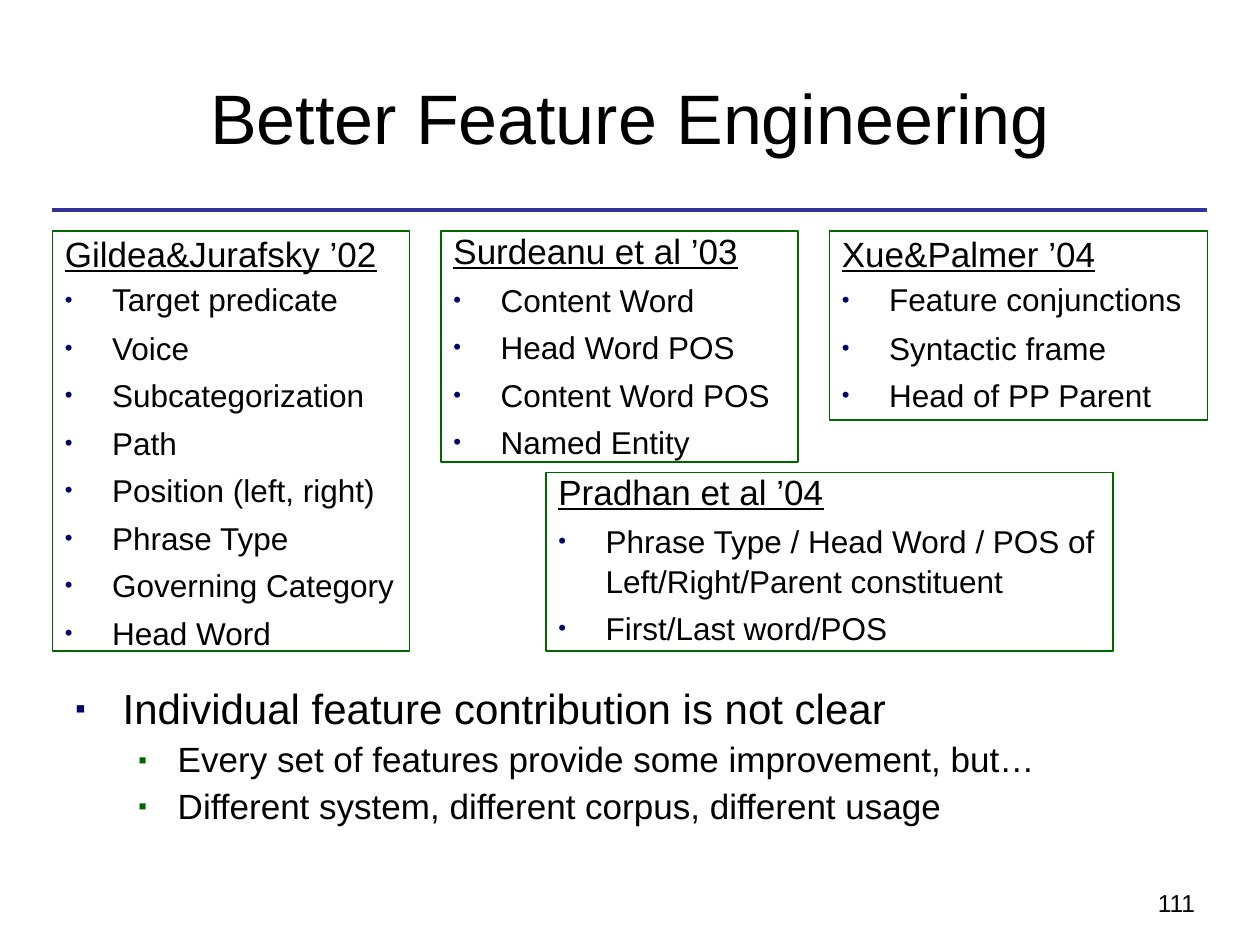
from dataclasses import dataclass

from lxml.etree import SubElement
from pptx import Presentation
from pptx.dml.color import RGBColor
from pptx.enum.shapes import MSO_CONNECTOR, MSO_SHAPE
from pptx.enum.text import MSO_ANCHOR, PP_ALIGN
from pptx.oxml.ns import qn
from pptx.util import Pt

COLORS = {"text": "000000", "rule": "333399", "navy": "000066", "green": "006600"}
FONT = "Arial"
INDENT = 27


@dataclass
class FeatureSet:
    study: str
    features: list[str]
    left: float
    top: float
    width: float
    height: float
    study_spacing: float = 0.8
    first_spacing: float = 1.05


FEATURE_SETS = [
    FeatureSet("Gildea&Jurafsky ’02",
               ["Target predicate", "Voice", "Subcategorization", "Path",
                "Position (left, right)", "Phrase Type", "Governing Category", "Head Word"],
               30, 132, 204, 240, study_spacing=0.9, first_spacing=0.95),
    FeatureSet("Surdeanu et al ’03",
               ["Content Word", "Head Word POS", "Content Word POS", "Named Entity"],
               252, 132, 204, 132),
    FeatureSet("Pradhan et al ’04",
               ["Phrase Type / Head Word / POS of\vLeft/Right/Parent constituent",
                "First/Last word/POS"],
               312, 270, 324, 102),
    FeatureSet("Xue&Palmer ’04",
               ["Feature conjunctions", "Syntactic frame", "Head of PP Parent"],
               474, 132, 216, 108, study_spacing=0.9, first_spacing=0.95),
]


def rgb(name: str) -> RGBColor:
    return RGBColor.from_string(COLORS[name])


def add_text(frame, text: str, *, size: float, underline: bool = False,
             align=PP_ALIGN.LEFT, spacing: float = 1.0, before: float = 0,
             bullet: str = "", bullet_color: str = "navy",
             margin: float = 0, hanging: float = 0, level: int = 0) -> None:
    """Fill the frame's empty first paragraph, or append a new one."""
    first = frame.paragraphs[0]
    paragraph = frame.add_paragraph() if first.runs else first
    paragraph.text = text
    paragraph.level = level
    paragraph.alignment = align
    paragraph.line_spacing = spacing
    paragraph.space_before = Pt(before)
    properties = paragraph._p.get_or_add_pPr()
    properties.set("marL", str(Pt(margin)))
    properties.set("indent", str(-Pt(hanging)))
    if bullet:
        color = SubElement(properties, qn("a:buClr"))
        SubElement(color, qn("a:srgbClr"), val=COLORS[bullet_color])
        SubElement(properties, qn("a:buSzPct"), val="70000")
        SubElement(properties, qn("a:buFont"), typeface=FONT)
        SubElement(properties, qn("a:buChar"), char=bullet)
    else:
        SubElement(properties, qn("a:buNone"))
    for run in paragraph.runs:
        run.font.name = FONT
        run.font.size = Pt(size)
        run.font.underline = underline
        run.font.color.rgb = rgb("text")


def add_feature_set(slide, group: FeatureSet) -> None:
    box = slide.shapes.add_shape(MSO_SHAPE.RECTANGLE, Pt(group.left), Pt(group.top),
                                 Pt(group.width), Pt(group.height))
    box.shadow.inherit = False
    box.fill.background()
    box.line.color.rgb = rgb("green")
    box.line.width = Pt(0.75)
    frame = box.text_frame
    frame.word_wrap = True
    frame.vertical_anchor = MSO_ANCHOR.TOP
    add_text(frame, group.study, size=20, underline=True, spacing=group.study_spacing,
             margin=INDENT, hanging=INDENT)
    for index, feature in enumerate(group.features):
        add_text(frame, feature, size=18, before=4.5, bullet="•",
                 spacing=1.05 if index else group.first_spacing,
                 margin=INDENT, hanging=INDENT)


def add_rule(slide) -> None:
    rule = slide.shapes.add_connector(MSO_CONNECTOR.STRAIGHT, Pt(30), Pt(120), Pt(690), Pt(120))
    rule.line.color.rgb = rgb("rule")
    rule.line.width = Pt(1.75)
    SubElement(rule._element.spPr, qn("a:effectLst"))


def add_conclusions(slide) -> None:
    frame = slide.shapes.add_textbox(Pt(36), Pt(390), Pt(648), Pt(92)).text_frame
    frame.word_wrap = True
    add_text(frame, "Individual feature contribution is not clear", size=24, spacing=0.9,
             bullet="▪", margin=INDENT, hanging=INDENT)
    for remark in ("Every set of features provide some improvement, but…",
                   "Different system, different corpus, different usage"):
        add_text(frame, remark, size=20, spacing=0.9, before=5, bullet="▪",
                 bullet_color="green", margin=58.5, hanging=22.5, level=1)


def main() -> None:
    deck = Presentation()
    deck.slide_width, deck.slide_height = Pt(720), Pt(540)
    slide = deck.slides.add_slide(deck.slide_layouts[5])

    title = slide.shapes.title
    title.left, title.top, title.width, title.height = Pt(36), Pt(21.6), Pt(648), Pt(90)
    title.text_frame.vertical_anchor = MSO_ANCHOR.MIDDLE
    add_text(title.text_frame, "Better Feature Engineering", size=40, align=PP_ALIGN.CENTER)

    add_rule(slide)
    add_conclusions(slide)
    for group in FEATURE_SETS:
        add_feature_set(slide, group)

    page_number = slide.shapes.add_textbox(Pt(654.5), Pt(504), Pt(78.5), Pt(24.5)).text_frame
    page_number.word_wrap = False
    add_text(page_number, "111", size=14)
    deck.save("out.pptx")


if __name__ == "__main__":
    main()
